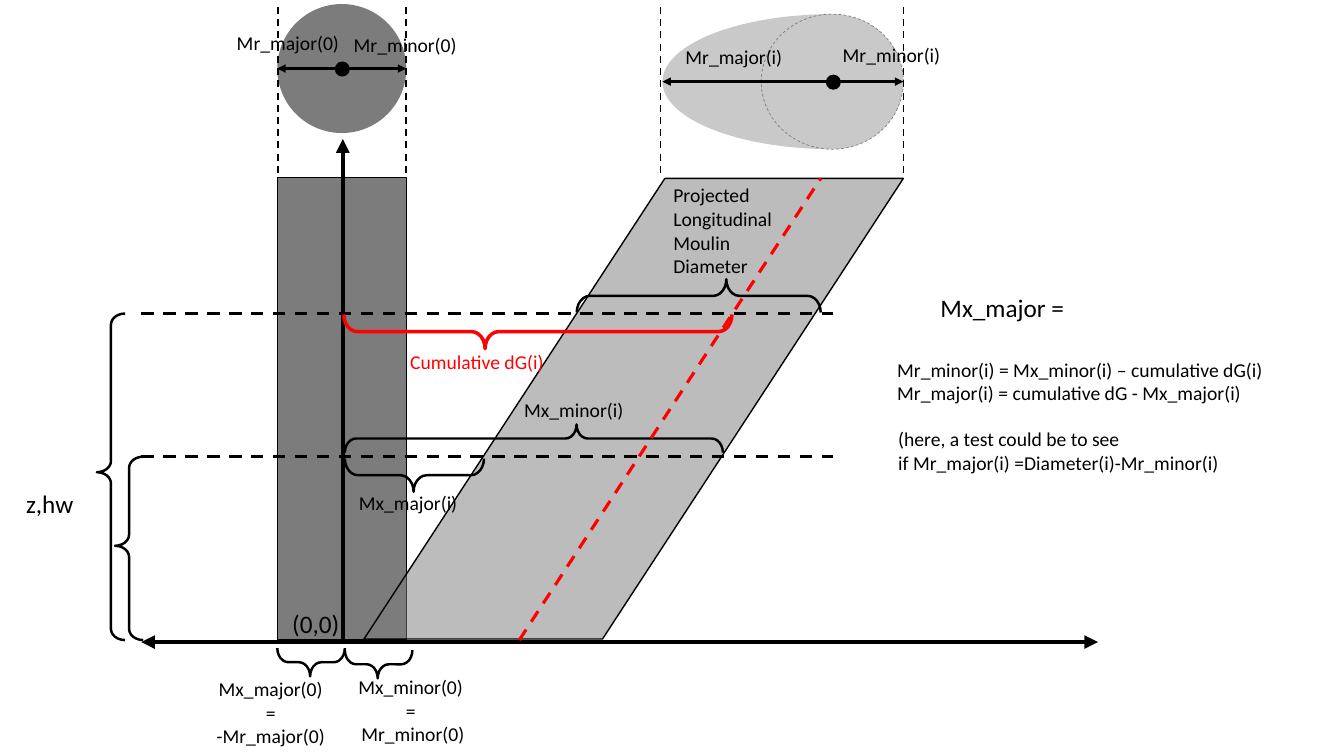
from pptx import Presentation
from pptx.dml.color import RGBColor
from pptx.enum.dml import MSO_LINE
from pptx.enum.shapes import MSO_CONNECTOR, MSO_SHAPE
from pptx.enum.text import MSO_AUTO_SIZE, PP_ALIGN
from pptx.oxml.ns import qn
from pptx.util import Inches, Pt
from lxml.etree import SubElement

BLACK, WHITE, RED = "000000", "FFFFFF", "FF0000"
DARK, LIGHT, EDGE = "7C7C7C", "C9C9C9", "808080"


def color(value):
    return RGBColor.from_string(value)


class Diagram:
    font = "Calibri"

    def __init__(self, slide):
        self.slide = slide

    def stroke(self, line, value, width, dashed=False):
        line.color.rgb = color(value)
        line.width = Pt(width)
        if dashed:
            line.dash_style = MSO_LINE.DASH

    def shape(self, kind, left, top, width, height, fill=None, line=None,
              line_width=1, dashed=False, adjustments=(), alpha=None):
        shape = self.slide.shapes.add_shape(
            kind, Inches(left), Inches(top), Inches(width), Inches(height))
        shape.shadow.inherit = False
        for index, value in enumerate(adjustments):
            shape.adjustments[index] = value
        if fill:
            shape.fill.solid()
            shape.fill.fore_color.rgb = color(fill)
        else:
            shape.fill.background()
        if alpha:
            srgb = shape.element.spPr.find(qn("a:solidFill")).find(qn("a:srgbClr"))
            SubElement(srgb, qn("a:alpha")).set("val", str(alpha * 1000))
        if line:
            self.stroke(shape.line, line, line_width, dashed)
        else:
            shape.line.fill.background()
        return shape

    def ellipse(self, left, top, width, height, fill, **style):
        return self.shape(MSO_SHAPE.OVAL, left, top, width, height, fill, **style)

    def brace(self, points, left, top, width, height, tip=0.514,
              line=BLACK, line_width=1.75):
        depth, span = (width, height) if points == "left" else (height, width)
        shape = self.shape(
            MSO_SHAPE.RIGHT_BRACE, left + (width - depth) / 2,
            top + (height - span) / 2, depth, span,
            line=line, line_width=line_width, adjustments=(0.394, tip))
        shape.rotation = 180 if points == "left" else 90
        if points == "up":
            shape.element.spPr.find(qn("a:xfrm")).set("flipH", "1")

    def line(self, start, end, width, value=BLACK, dashed=False, arrows=()):
        connector = self.slide.shapes.add_connector(
            MSO_CONNECTOR.STRAIGHT, *map(Inches, start + end))
        self.stroke(connector.line, value, width, dashed)
        properties = connector.element.spPr
        for arrow in arrows:
            SubElement(properties.find(qn("a:ln")), qn(f"a:{arrow}End")).set("type", "triangle")
        SubElement(properties, qn("a:effectLst"))

    def text(self, left, top, width, height, *lines, size=14, value=BLACK,
             align=PP_ALIGN.LEFT):
        box = self.slide.shapes.add_textbox(
            Inches(left), Inches(top), Inches(width), Inches(height))
        frame = box.text_frame
        frame.word_wrap = False
        frame.auto_size = MSO_AUTO_SIZE.SHAPE_TO_FIT_TEXT
        frame.text = "\n".join(lines)
        for paragraph in frame.paragraphs:
            paragraph.alignment = align
            paragraph.font.name = self.font
            paragraph.font.size = Pt(size)
            paragraph.font.color.rgb = color(value)


presentation = Presentation()
presentation.slide_width = Inches(13.33)
presentation.slide_height = Inches(7.5)
diagram = Diagram(presentation.slides.add_slide(presentation.slide_layouts[6]))

diagram.shape(MSO_SHAPE.RECTANGLE, 2.75, 1.76, 1.28, 4.59, DARK, BLACK)
diagram.shape(MSO_SHAPE.PARALLELOGRAM, 3.61, 1.77, 5.35, 4.57, DARK, BLACK,
              adjustments=[0.653], alpha=51)
diagram.line((3.4, 6.37), (3.4, 1.38), 3.25, arrows=["tail"])
diagram.line((1.4, 6.37), (10.89, 6.37), 3.25, arrows=["head", "tail"])

for level in (3.11, 4.53):
    diagram.line((1.4, level), (8.26, level), 2.25, dashed=True)
    diagram.brace("left", 0.96 if level < 4 else 1.14, level, 0.28, 6.35 - level)

diagram.brace("down", 2.75, 6.43, 0.67, 0.28)
diagram.brace("down", 3.42, 6.45, 0.67, 0.28)
diagram.brace("down", 3.42, 4.55, 1.38, 0.33, tip=0.506)
diagram.brace("up", 3.42, 4.21, 3.75, 0.28, tip=0.387)
diagram.brace("up", 5.72, 2.77, 2.42, 0.33, tip=0.387)

diagram.ellipse(6.57, 0.14, 3.38, 1.34, LIGHT)
diagram.shape(MSO_SHAPE.RECTANGLE, 8.26, 0.05, 1.97, 1.6, WHITE)
diagram.ellipse(7.55, 0.14, 1.41, 1.34, LIGHT, line=EDGE, line_width=0.5, dashed=True)
diagram.ellipse(2.75, 0.04, 1.28, 1.28, DARK)
for edge in (2.76, 4.03, 6.55, 8.96):
    diagram.line((edge, 0.07), (edge, 1.76), 1.25, dashed=True)

for center, height, ends in ((3.39, 0.68, (2.75, 4.03)), (8.26, 0.81, (6.57, 8.96))):
    for end in ends:
        diagram.line((center, height), (end, height), 2, arrows=["tail"])
    diagram.ellipse(center - 0.07, height - 0.07, 0.15, 0.15, BLACK)

diagram.line((5.15, 6.35), (8.14, 1.77), 2.25, RED, dashed=True)
diagram.brace("down", 3.41, 3.12, 3.85, 0.34, tip=0.636, line=RED, line_width=2.5)

for left, top, width, label in (
    (2.8, 5.99, 0.68, "(0,0)"),
    (0.16, 4.8, 0.68, "z,hw"),
    (9.23, 2.85, 1.5, "Mx_major = "),
):
    diagram.text(left, top, width, 0.4, label, size=18)

for left, top, width, label in (
    (3.46, 4.82, 1.19, "Mx_major(i)"),
    (5.1, 3.9, 1.2, "Mx_minor(i)"),
    (8.26, 0.38, 1.18, "Mr_minor(i)"),
    (6.7, 0.4, 1.17, "Mr_major(i)"),
    (3.41, 0.28, 1.23, "Mr_minor(0)"),
    (2.25, 0.26, 1.23, "Mr_major(0)"),
):
    diagram.text(left, top, width, 0.34, label)

diagram.text(3.97, 3.42, 1.54, 0.34, "Cumulative dG(i)", value=RED)
diagram.text(2.04, 6.67, 1.29, 0.81, "Mx_major(0)", "=", "-Mr_major(0)",
             align=PP_ALIGN.CENTER)
diagram.text(3.45, 6.65, 1.29, 0.81, "Mx_minor(0) ", "= ", "Mr_minor(0)",
             align=PP_ALIGN.CENTER)
diagram.text(6.58, 1.77, 1.19, 1.04, "Projected", "Longitudinal", "Moulin", "Diameter")
diagram.text(8.8, 3.5, 3.86, 0.57,
             "Mr_minor(i) = Mx_minor(i) – cumulative dG(i)",
             "Mr_major(i) = cumulative dG - Mx_major(i)")
diagram.text(8.81, 4.19, 3.41, 0.57,
             "(here, a test could be to see ",
             "if Mr_major(i) =Diameter(i)-Mr_minor(i)")

presentation.save("out.pptx")
